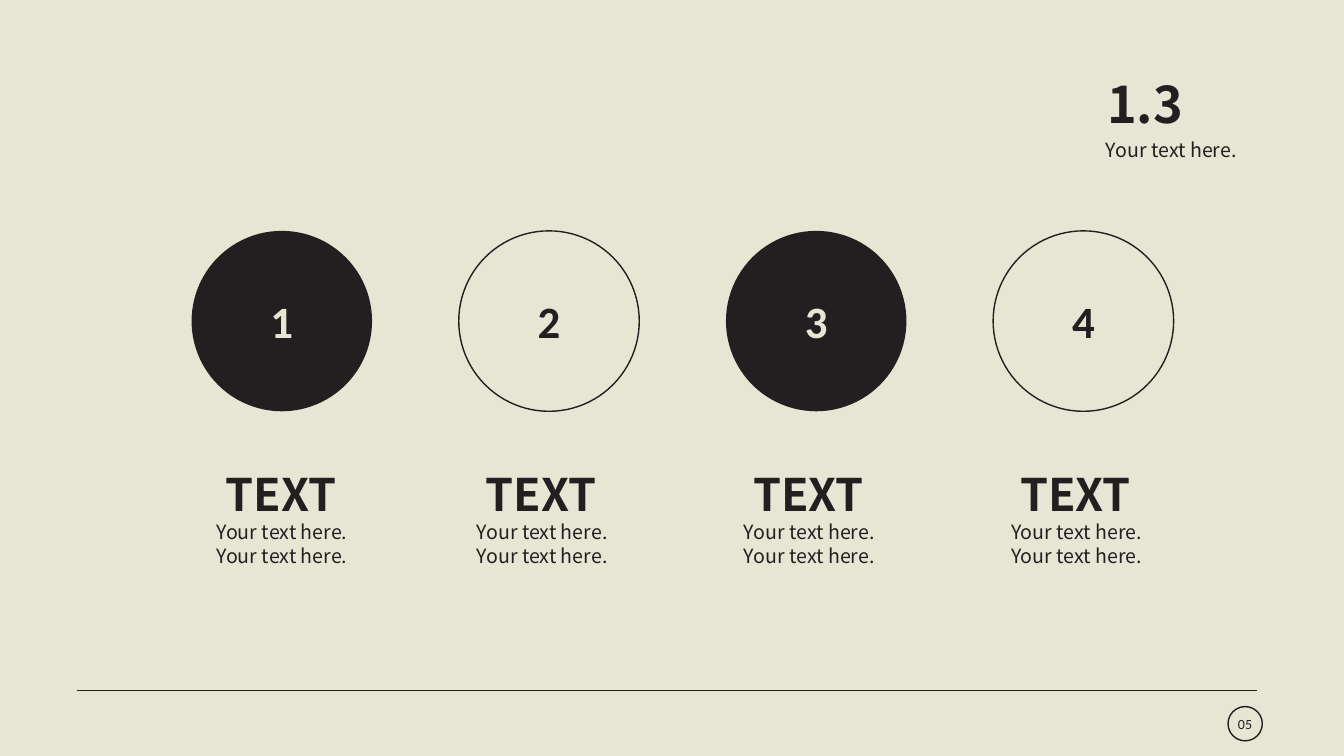
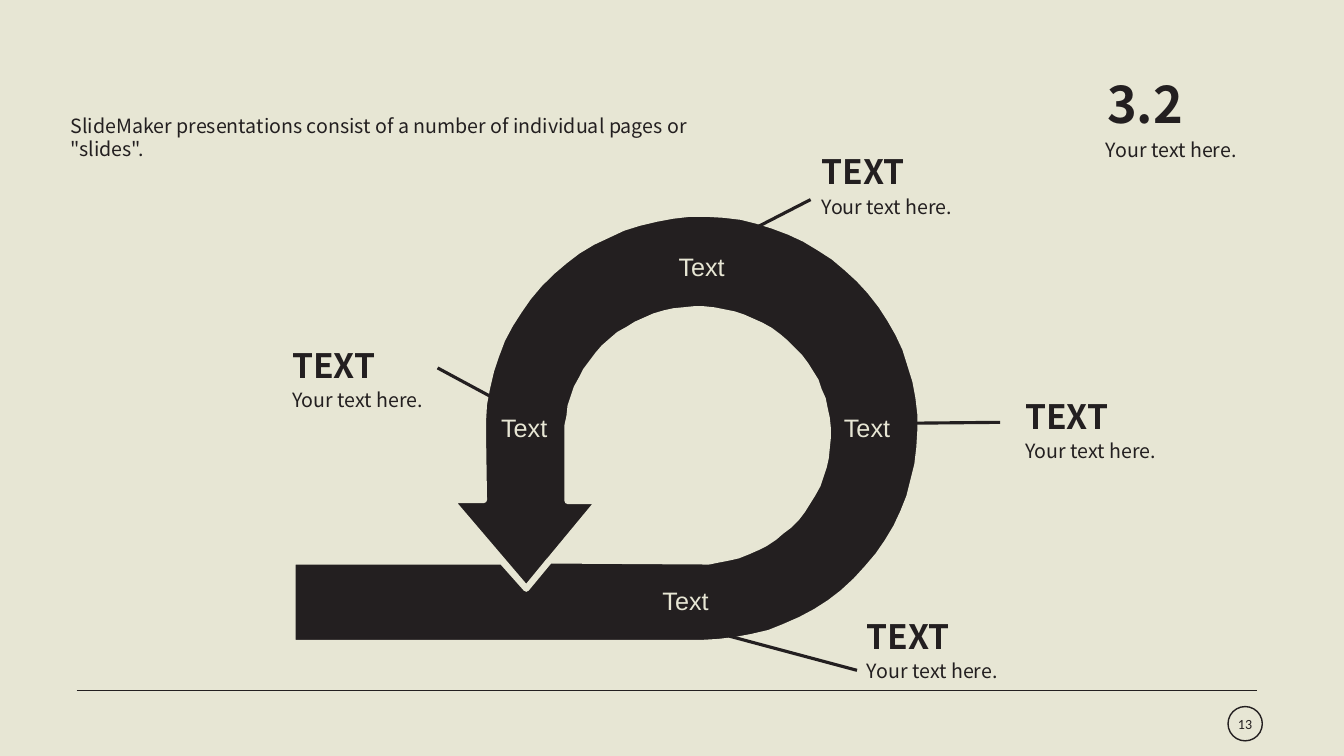
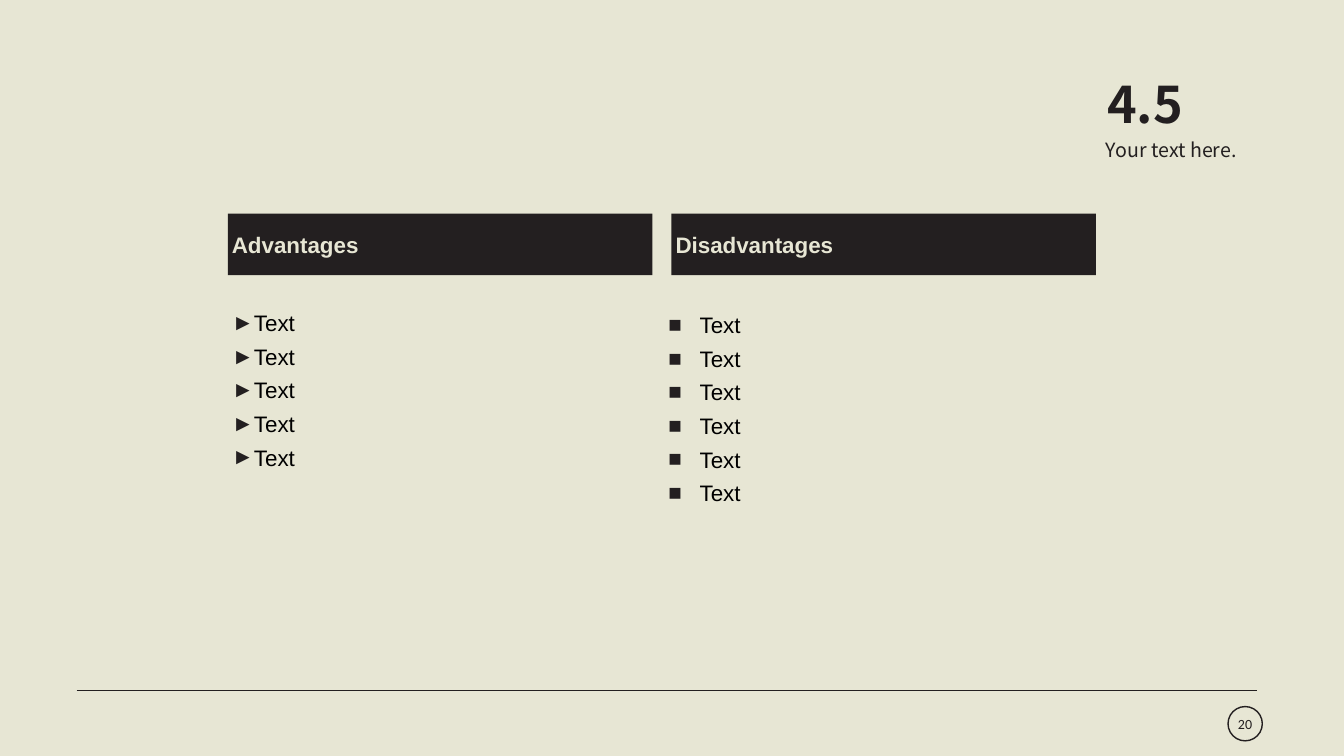
from math import cos, radians, sin

from lxml import etree
from pptx import Presentation
from pptx.dml.color import RGBColor
from pptx.enum.shapes import MSO_CONNECTOR, MSO_SHAPE
from pptx.enum.text import MSO_ANCHOR, MSO_AUTO_SIZE, PP_ALIGN
from pptx.oxml.ns import qn
from pptx.util import Pt

PX = 9144  # EMU in one px, 100 px to the inch
INK = {"dark": "231F20", "paper": "E7E6D4", "black": "000000"}
NOTO, CALIBRI, ARIAL = "Noto Sans CJK SC", "Calibri", "Arial"
OVAL, RECT = MSO_SHAPE.OVAL, MSO_SHAPE.RECTANGLE
STRAIGHT = MSO_CONNECTOR.STRAIGHT
LEFT, CENTER = PP_ALIGN.LEFT, PP_ALIGN.CENTER
TOP, MIDDLE = MSO_ANCHOR.TOP, MSO_ANCHOR.MIDDLE
FIXED = MSO_AUTO_SIZE.NONE
HINT = "Your text here."


def emu(*sizes):
    return [round(size * PX) for size in sizes]


def rgb(name):
    return RGBColor.from_string(INK[name])


def write(shape, lines, size, face=NOTO, ink="dark", bold=False, align=LEFT,
          anchor=TOP, inset=None, wrap=True, gap=0, bullet=None, hang=0):
    """Fill a shape with one paragraph per line."""
    frame = shape.text_frame
    frame.word_wrap, frame.auto_size = wrap, FIXED
    frame.vertical_anchor = anchor
    if inset is not None:
        frame.margin_left = frame.margin_right = inset * PX
        frame.margin_top = frame.margin_bottom = inset * PX
    frame.text = "\n".join(lines)
    for row, para in enumerate(frame.paragraphs):
        if bullet:
            mark(para, bullet, hang)
        para.alignment = align
        if row and gap:
            para.space_before = Pt(gap)
        font = para.font
        font.name, font.size, font.bold = face, Pt(size), bold
        font.color.rgb = rgb(ink)


def mark(para, char, hang):
    """Give a paragraph a dark bullet and a hanging indent."""
    props = para._p.get_or_add_pPr()
    props.set("marL", str(hang * PX))
    props.set("indent", str(-hang * PX))
    tint = etree.SubElement(props, qn("a:buClr"))
    etree.SubElement(tint, qn("a:srgbClr"), val=INK["dark"])
    etree.SubElement(props, qn("a:buFont"), typeface=ARIAL)
    etree.SubElement(props, qn("a:buChar"), char=char)


def text(slide, box, lines, size, **style):
    write(slide.shapes.add_textbox(*emu(*box)), lines, size, **style)


def paint(shape, fill=None, line=None, width=1):
    shape.shadow.inherit = False
    if fill:
        shape.fill.solid()
        shape.fill.fore_color.rgb = rgb(fill)
    else:
        shape.fill.background()
    if line:
        shape.line.color.rgb = rgb(line)
        shape.line.width = Pt(width)
    else:
        shape.line.fill.background()


def form(slide, kind, box, **look):
    shape = slide.shapes.add_shape(kind, *emu(*box))
    paint(shape, **look)
    return shape


def rule(slide, ends, width):
    line = slide.shapes.add_connector(STRAIGHT, *emu(*ends))
    line.line.color.rgb = rgb("dark")
    line.line.width = Pt(width)
    etree.SubElement(line._element.spPr, qn("a:effectLst"))


def page(deck, title, number):
    """Add a slide with its section title, bottom rule and page number."""
    slide = deck.slides.add_slide(deck.slide_layouts[5])
    head = slide.shapes.title
    head.left, head.top, head.width, head.height = emu(1088, 68, 198, 71)
    write(head, [title], 36, bold=True)
    text(slide, (1087, 132, 200, 34), [HINT], 14)
    rule(slide, (76, 685, 1247, 685), 0.5)
    form(slide, OVAL, (1218, 701, 34, 34), line="dark")
    text(slide, (1218, 705, 35, 27), [number], 10, face=CALIBRI, wrap=False)
    return slide


def step(slide, x, y, number, shift):
    """Place a numbered circle, with its caption moved right by shift."""
    odd = number % 2
    disc = form(slide, OVAL, (x, y, 179, 179),
                fill="dark" if odd else "paper",
                line=None if odd else "dark")
    write(disc, [str(number)], 32, face=CALIBRI, bold=True, align=CENTER,
          anchor=MIDDLE, ink="paper" if odd else "dark")
    left = x + shift
    text(slide, (left, y + 282, 164, 57), [HINT, HINT], 14)
    text(slide, (left + 9, y + 229, 135, 64), ["TEXT"], 32, bold=True)


def arc(x, y, wide, high, start, end, count=60):
    """List points on an ellipse, with angles in degrees."""
    turns = [radians(start + (end - start) * i / count)
             for i in range(count + 1)]
    return [(round(x + wide * cos(turn)), round(y + high * sin(turn)))
            for turn in turns]


def loop(slide, x, y):
    """Draw the looping arrow and its four labels from its top left."""
    tip = (232, 371)
    inner = arc(402, 219, 129, 125, 180, 445)
    outer = arc(406, 212, 217, 213, 90, -178)
    points = [(189, 219), (190, 283), (157, 283), tip, (304, 284), (273, 284),
              *inner, (255, 343), tip, (208, 344), (0, 344), (0, 425), *outer]
    spots = [(x + dx, y + dy) for dx, dy in points]
    pen = slide.shapes.build_freeform(*spots[0], scale=PX)
    pen.add_line_segments(spots[1:], close=True)
    paint(pen.convert_to_shape(), fill="dark", line="paper", width=4.5)
    for dx, dy in ((362, 363), (202, 191), (378, 31), (542, 191)):
        text(slide, (x + dx, y + dy, 81, 42), ["Text"], 18, face=ARIAL,
             ink="paper", inset=5)


def note(slide, x, y, ends):
    """Place a callout heading and hint, and its leader line."""
    text(slide, (x, y + 43, 164, 34), [HINT], 14)
    text(slide, (x, y, 135, 50), ["TEXT"], 24, bold=True)
    rule(slide, ends, 2.25)


def panel(slide, x, y, title):
    bar = form(slide, RECT, (x, y, 421, 61), fill="dark")
    write(bar, [title], 16, face=ARIAL, ink="paper", bold=True,
          anchor=MIDDLE, inset=4, wrap=False)


def points(slide, x, y, count, bullet, hang=0):
    text(slide, (x, y, 414, 35 * count + 39), ["Text"] * count, 16, face=ARIAL,
         ink="black", inset=6, gap=4.8, bullet=bullet, hang=hang)


def steps(deck):
    slide = page(deck, "1.3", "05")
    for i, shift in enumerate((15, 8, 8, 8)):
        step(slide, 190 + 265 * i, 229, i + 1, shift)


def cycle(deck):
    slide = page(deck, "3.2", "13")
    loop(slide, 290, 213)
    text(slide, (60, 108, 654, 57),
         ["SlideMaker presentations consist of a number of individual pages "
          'or "slides".'], 14)
    for x, y, ends in ((280, 337, (434, 365, 510, 406)),
                       (805, 145, (732, 235, 804, 198)),
                       (1007, 388, (887, 420, 992, 419)),
                       (850, 606, (723, 631, 850, 665))):
        note(slide, x, y, ends)


def compare(deck):
    slide = page(deck, "4.5", "20")
    panel(slide, 226, 212, "Advantages")
    panel(slide, 666, 212, "Disadvantages")
    points(slide, 224, 301, 5, "►")
    points(slide, 657, 303, 6, "■", hang=31)


def main():
    deck = Presentation()
    deck.slide_width, deck.slide_height = emu(1333, 750)
    back = deck.slide_master.background.fill
    back.solid()
    back.fore_color.rgb = rgb("paper")
    for build in (steps, cycle, compare):
        build(deck)
    deck.save("out.pptx")


if __name__ == "__main__":
    main()
